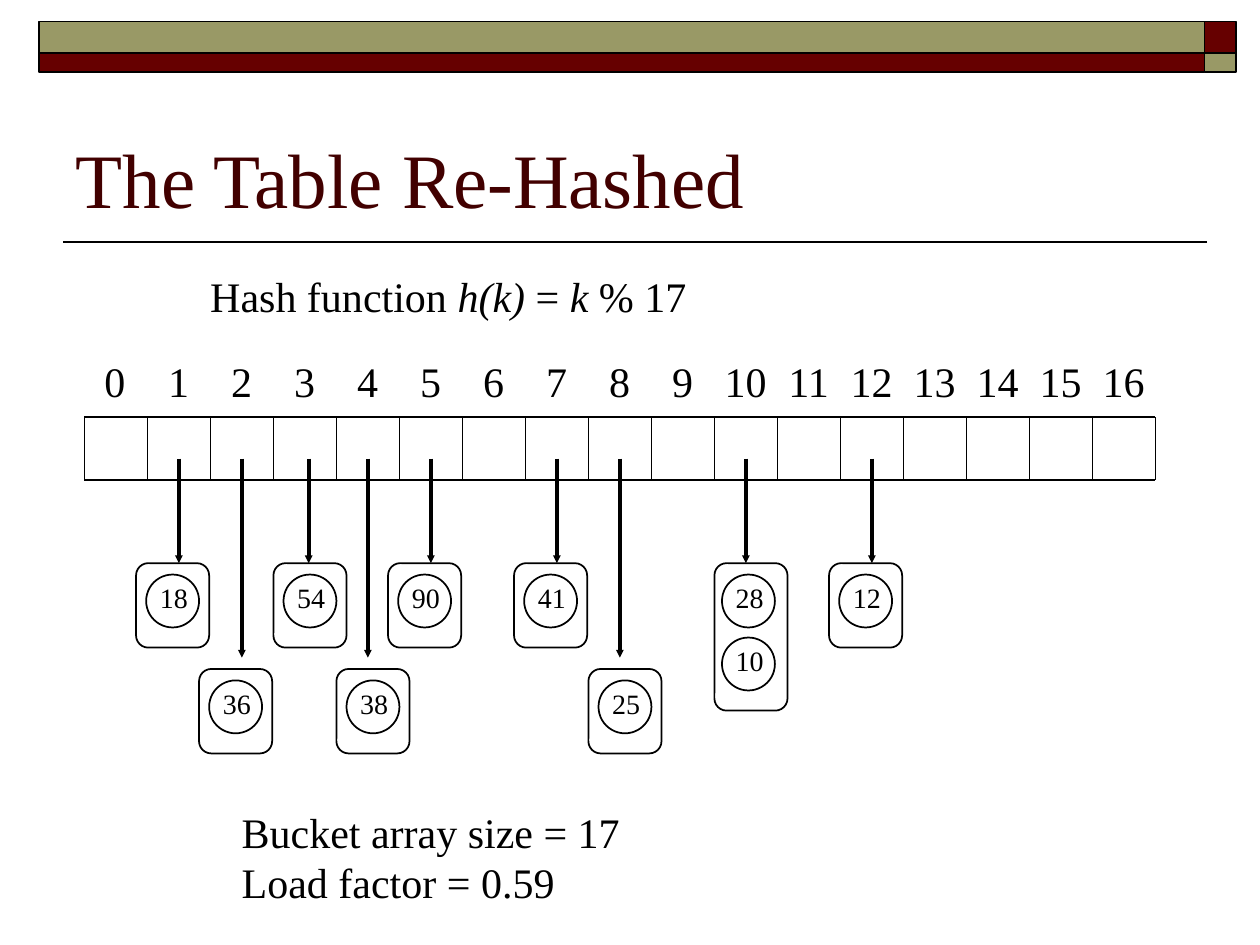
from dataclasses import dataclass

from lxml.etree import SubElement
from pptx import Presentation
from pptx.dml.color import RGBColor
from pptx.enum.shapes import MSO_CONNECTOR as Connector, MSO_SHAPE as Shape
from pptx.enum.text import MSO_ANCHOR as Anchor, MSO_AUTO_SIZE as AutoSize, PP_ALIGN as Align
from pptx.oxml.ns import qn
from pptx.slide import Slide
from pptx.util import Inches, Pt

OLIVE, MAROON = "999966", "660000"
CELL, CELL_COUNT = 0.5, 17
ARRAY_LEFT, ARRAY_TOP = 0.67, 3.31
ARRAY_RIGHT, ARRAY_BOTTOM = ARRAY_LEFT + CELL * CELL_COUNT, ARRAY_TOP + CELL
UPPER, LOWER = 4.47, 5.31
BUCKET_WIDTH, KEY_SIZE = 0.58, 0.42


def rgb(color):
    return RGBColor.from_string(color)


@dataclass
class Board:
    """Draws styled elements on the current slide."""
    slide: Slide
    font: str = "Times New Roman"
    ink: str = "000000"
    title_color: str = "420000"

    def style(self, paragraph, size, color):
        for run in paragraph.runs:
            run.font.name = self.font
            run.font.size = Pt(size)
            run.font.color.rgb = rgb(color)

    def title(self, wording, left, top, width, height):
        heading = self.slide.shapes.title
        heading.left, heading.top = Inches(left), Inches(top)
        heading.width, heading.height = Inches(width), Inches(height)
        frame = heading.text_frame
        frame.text = wording
        frame.auto_size = AutoSize.NONE
        frame.vertical_anchor = Anchor.BOTTOM
        frame.paragraphs[0].alignment = Align.LEFT
        self.style(frame.paragraphs[0], 44, self.title_color)

    def shape(self, kind, left, top, width, height, fill=None):
        outline = self.slide.shapes.add_shape(
            kind, Inches(left), Inches(top), Inches(width), Inches(height))
        outline.shadow.inherit = False
        outline.line.color.rgb = rgb(self.ink)
        outline.line.width = Pt(1)
        if fill:
            outline.fill.solid()
            outline.fill.fore_color.rgb = rgb(fill)
        else:
            outline.fill.background()

    def line(self, x1, y1, x2, y2, width=1, arrow=False):
        stroke = self.slide.shapes.add_connector(
            Connector.STRAIGHT, Inches(x1), Inches(y1), Inches(x2), Inches(y2))
        stroke.line.color.rgb = rgb(self.ink)
        stroke.line.width = Pt(width)
        if arrow:
            SubElement(stroke.line._get_or_add_ln(), qn("a:tailEnd"),
                       type="triangle", w="sm", len="sm")
        SubElement(stroke._element.spPr, qn("a:effectLst"))

    def text(self, wording, left, top, width, height, size=24, wrap=False):
        box = self.slide.shapes.add_textbox(
            Inches(left), Inches(top), Inches(width), Inches(height))
        frame = box.text_frame
        frame.text = wording
        frame.word_wrap = wrap
        frame.auto_size = AutoSize.SHAPE_TO_FIT_TEXT
        for paragraph in frame.paragraphs:
            self.style(paragraph, size, self.ink)
        return frame.paragraphs[0]

    def formula(self, parts, left, top, width, height):
        paragraph = self.text("", left, top, width, height)
        for wording, italic in parts:
            run = paragraph.add_run()
            run.text = wording
            run.font.italic = italic
        self.style(paragraph, 24, self.ink)

    def index_row(self, left, top, width, height):
        labels = "\t".join(str(index) for index in range(CELL_COUNT))
        paragraph = self.text(labels, left, top, width, height, wrap=True)
        stops = SubElement(paragraph._p.get_or_add_pPr(), qn("a:tabLst"))
        for index in range(1, CELL_COUNT):
            center = ARRAY_LEFT + CELL * (index + 0.5) - left - 0.1
            SubElement(stops, qn("a:tab"), pos=str(Inches(center)), algn="ctr")

    def array(self):
        for y in (ARRAY_TOP, ARRAY_BOTTOM):
            self.line(ARRAY_LEFT, y, ARRAY_RIGHT, y)
        for index in range(CELL_COUNT + 1):
            x = ARRAY_LEFT + CELL * index
            self.line(x, ARRAY_TOP, x, ARRAY_BOTTOM)

    def bucket(self, index, left, top, keys):
        arrow_x = 2.45 if index == 3 else ARRAY_LEFT + CELL * (index + 0.5)
        arrow_end = UPPER if top == UPPER else LOWER - 0.09
        height = 0.67 + CELL * (len(keys) - 1)
        self.shape(Shape.ROUNDED_RECTANGLE, left, top, BUCKET_WIDTH, height)
        key_left = left + (0.06 if len(keys) > 1 else 0.08)
        for row, key in enumerate(keys):
            key_top = top + 0.09 + CELL * row
            self.shape(Shape.OVAL, key_left, key_top, KEY_SIZE, KEY_SIZE)
            self.text(str(key), key_left + 0.01, key_top, KEY_SIZE, 0.37, size=16)
        self.line(arrow_x, 3.64, arrow_x, arrow_end, width=2.25, arrow=True)


def main():
    deck = Presentation()
    deck.slide_width, deck.slide_height = Inches(10), Inches(7.5)
    board = Board(deck.slides.add_slide(deck.slide_layouts[5]))

    board.line(9.58, 1.92, 0.5, 1.92)
    for top, height, wide_fill, corner_fill in (
            (0.17, 0.25, OLIVE, MAROON), (0.42, 0.15, MAROON, OLIVE)):
        board.shape(Shape.RECTANGLE, 0.31, top, 9.25, height, wide_fill)
        board.shape(Shape.RECTANGLE, 9.56, top, 0.25, height, corner_fill)
    board.title("The Table Re-Hashed", 0.5, 0.58, 9, 1.25)

    board.formula((("Hash function ", False), ("h(k)", True), (" = ", False),
                   ("k", True), (" % 17", False)), 1.57, 2.1, 3.98, 0.5)
    board.array()
    board.index_row(0.73, 2.77, 8.7, 0.5)

    for index, left, top, keys in (
            (1, 1.08, UPPER, [18]), (2, 1.58, LOWER, [36]), (3, 2.17, UPPER, [54]),
            (4, 2.67, LOWER, [38]), (5, 3.08, UPPER, [90]), (7, 4.08, UPPER, [41]),
            (8, 4.67, LOWER, [25]), (10, 5.67, UPPER, [28, 10]), (12, 6.58, UPPER, [12])):
        board.bucket(index, left, top, keys)

    board.text("Bucket array size = 17\nLoad factor = 0.59", 1.82, 6.35, 3.2, 0.9)
    deck.save("out.pptx")


if __name__ == "__main__":
    main()
